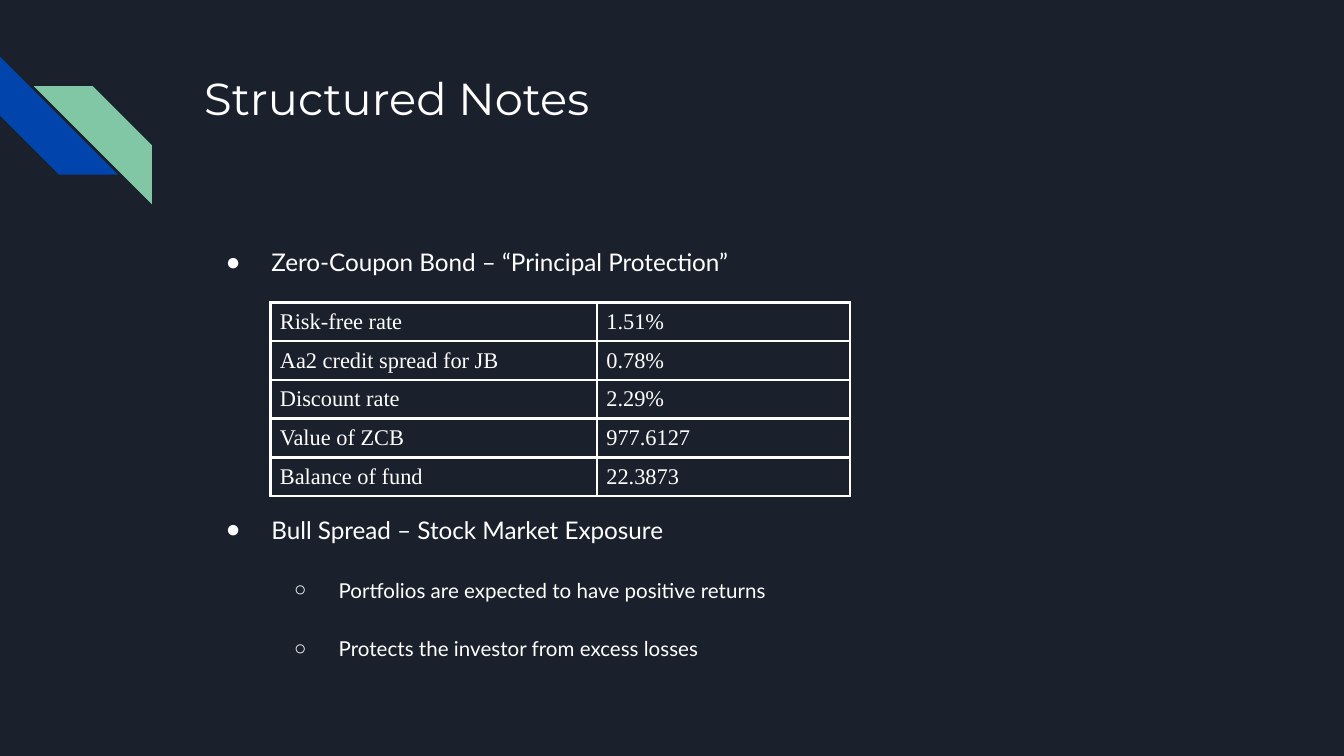
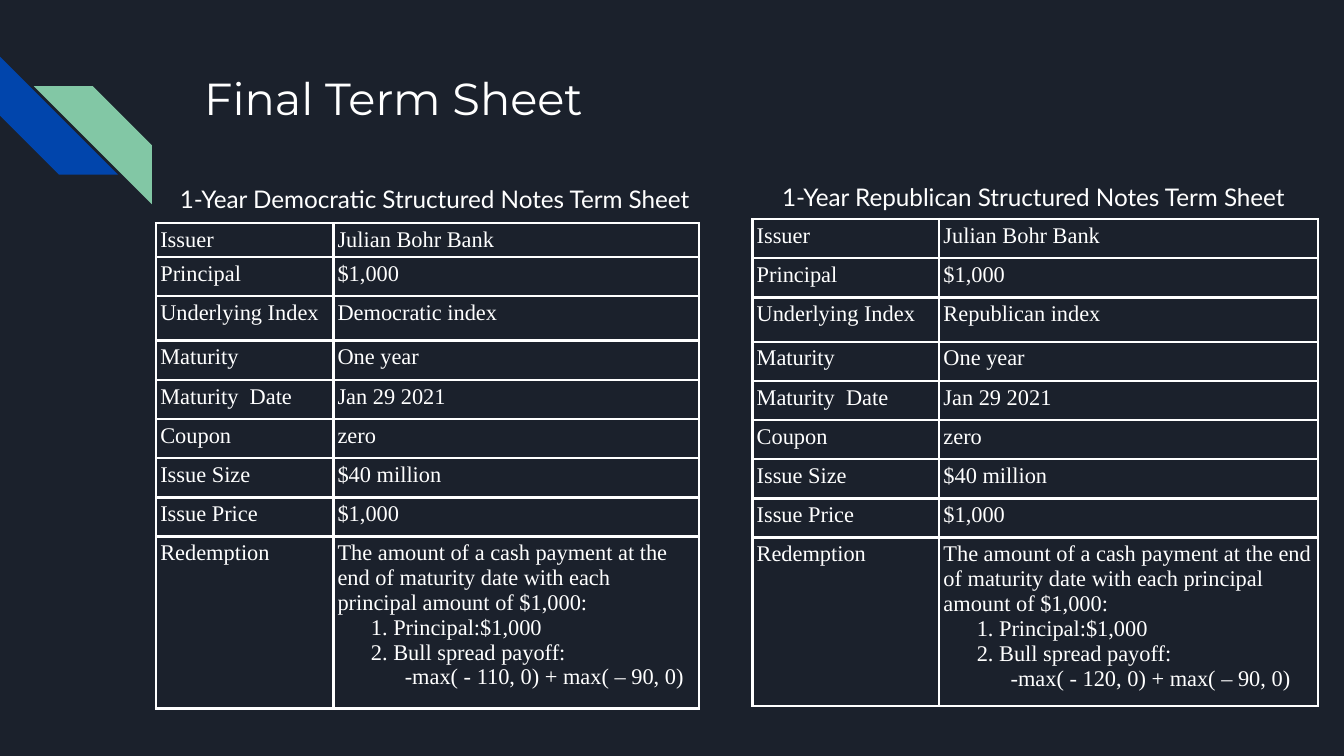
from lxml.etree import SubElement
from pptx import Presentation
from pptx.dml.color import RGBColor
from pptx.enum.shapes import MSO_SHAPE
from pptx.enum.text import MSO_ANCHOR, MSO_AUTO_SIZE, PP_ALIGN
from pptx.oxml.ns import qn
from pptx.util import Cm, Pt

NAVY = RGBColor(0x1B, 0x21, 0x2C)
BLUE = RGBColor(0x01, 0x45, 0xAC)
GREEN = RGBColor(0x82, 0xC7, 0xA5)
WHITE = RGBColor(0xFF, 0xFF, 0xFF)

TITLE_FONT, BODY_FONT, TABLE_FONT = "Montserrat", "Lato", "Times New Roman"

# Boxes in cm: left, top, width, height
STRIPES_BOX = (0, 1.07, 2.87, 2.79)
TITLE_BOX = (3.61, 1.09, 19.56, 2.54)
LIST_BOX = (3.61, 4.34, 19.56, 8.08)

# Paragraph formats
CAPTION = dict(font=BODY_FONT, size=13, spacing=1.15, margin=0.41, bullet="")
POINT = dict(font=BODY_FONT, size=13, spacing=1.15, margin=1.27, indent=-0.86, bullet="●")
SUBPOINT = dict(font=BODY_FONT, size=11, spacing=1.15, margin=2.54, indent=-0.84,
                bullet="○", level=1, before=16)
NUMBERED = dict(margin=1.27, indent=-0.64)
FORMULA = dict(margin=1.27)


# Text
def write(paragraph, text, font=TABLE_FONT, size=12, spacing=None, before=0,
          margin=0, indent=0, bullet=None, level=0):
    run = paragraph.add_run()
    run.text = text
    run.font.name, run.font.size = font, Pt(size)
    run.font.color.rgb = WHITE
    paragraph.alignment = PP_ALIGN.LEFT
    paragraph.level = level
    paragraph.space_before = Pt(before)
    if spacing:
        paragraph.line_spacing = spacing
    properties = paragraph._p.get_or_add_pPr()
    properties.set("marL", str(Cm(margin)))
    properties.set("indent", str(Cm(indent)))
    if bullet:
        colour = SubElement(properties, qn("a:buClr"))
        SubElement(colour, qn("a:srgbClr"), val=str(WHITE))
        SubElement(properties, qn("a:buChar"), char=bullet)
    elif bullet == "":
        SubElement(properties, qn("a:buNone"))


def write_lines(frame, lines):
    for number, (text, style) in enumerate(lines):
        paragraph = frame.add_paragraph() if number else frame.paragraphs[0]
        write(paragraph, text, **style)


def fill_text_box(holder, box, lines):
    holder.left, holder.top, holder.width, holder.height = map(Cm, box)
    frame = holder.text_frame
    frame.word_wrap = True
    frame.auto_size = MSO_AUTO_SIZE.NONE
    frame.vertical_anchor = MSO_ANCHOR.TOP
    frame.margin_left = frame.margin_right = Cm(0.25)
    frame.margin_top = frame.margin_bottom = Cm(0.25)
    write_lines(frame, lines)


# Corner decoration: two diagonal stripes at opposite corners of the box
def add_stripes(slide, box):
    left, top, width, height = box
    side = 2.23
    corners = ((left, top, BLUE), (left + width - side, top + height - side, GREEN))
    for x, y, colour in corners:
        stripe = slide.shapes.add_shape(
            MSO_SHAPE.DIAGONAL_STRIPE, Cm(x), Cm(y), Cm(side), Cm(side))
        stripe.shadow.inherit = False
        stripe.fill.solid()
        stripe.fill.fore_color.rgb = colour
        stripe.line.fill.background()
        if colour == BLUE:
            stripe.rotation = 270
        else:
            stripe.element.spPr.xfrm.set("flipH", "1")


# Tables
def border_cell(cell):
    properties = cell._tc.get_or_add_tcPr()
    for position, side in enumerate(("lnL", "lnR", "lnT", "lnB")):
        line = SubElement(properties, qn(f"a:{side}"), w=str(Pt(1.5)))
        fill = SubElement(line, qn("a:solidFill"))
        SubElement(fill, qn("a:srgbClr"), val=str(WHITE))
        properties.insert(position, line)


def add_grid(slide, corner, widths, heights, rows, inset):
    left, top = corner
    table = slide.shapes.add_table(
        len(rows), len(widths), Cm(left), Cm(top),
        Cm(sum(widths)), Cm(sum(heights))).table
    table.first_row = table.horz_banding = False
    for column, width in zip(table.columns, widths):
        column.width = Cm(width)
    for row, height, contents in zip(table.rows, heights, rows):
        row.height = Cm(height)
        for cell, content in zip(row.cells, contents):
            cell.margin_left = cell.margin_right = Cm(inset[0])
            cell.margin_top = cell.margin_bottom = Cm(inset[1])
            cell.fill.background()
            border_cell(cell)
            write_lines(cell.text_frame,
                        [(content, {})] if isinstance(content, str) else content)


def add_term_sheet(slide, corner, widths, first_height, last_height, party, cap):
    redemption = [
        ("The amount of a cash payment at the end of maturity date with each "
         "principal amount of $1,000:", {}),
        ("1. Principal:$1,000", NUMBERED),
        ("2. Bull spread payoff:", NUMBERED),
        (f"-max( - {cap}, 0) + max( – 90, 0)", FORMULA),
    ]
    terms = [
        ("Issuer", "Julian Bohr Bank"),
        ("Principal", "$1,000"),
        ("Underlying Index", f"{party} index"),
        ("Maturity", "One year"),
        ("Maturity  Date", "Jan 29 2021"),
        ("Coupon", "zero"),
        ("Issue Size", "$40 million"),
        ("Issue Price", "$1,000"),
        ("Redemption", redemption),
    ]
    heights = [first_height, 0.74, 0.84] + [0.74] * 5 + [last_height]
    add_grid(slide, corner, widths, heights, terms, inset=(0.08, 0.08))


# Slides
def add_base_slide(deck, title):
    slide = deck.slides.add_slide(deck.slide_layouts[1])
    slide.background.fill.solid()
    slide.background.fill.fore_color.rgb = NAVY
    add_stripes(slide, STRIPES_BOX)
    fill_text_box(slide.shapes.title, TITLE_BOX,
                  [(title, dict(font=TITLE_FONT, size=24))])
    return slide


def add_notes_slide(deck):
    slide = add_base_slide(deck, "Structured Notes")
    fill_text_box(slide.placeholders[1], LIST_BOX, [
        ("Zero-Coupon Bond – “Principal Protection”", POINT),
        ("Bull Spread – Stock Market Exposure", dict(POINT, before=125.5)),
        ("Portfolios are expected to have positive returns", SUBPOINT),
        ("Protects the investor from excess losses", SUBPOINT),
    ])
    bond_rows = [
        ("Risk-free rate", "1.51%"),
        ("Aa2 credit spread for JB", "0.78%"),
        ("Discount rate", "2.29%"),
        ("Value of ZCB", "977.6127"),
        ("Balance of fund", "22.3873"),
    ]
    add_grid(slide, (5.11, 5.72), (6.17, 4.78), [0.72] * len(bond_rows),
             bond_rows, inset=(0.18, 0.13))


def add_term_sheet_slide(deck):
    slide = add_base_slide(deck, "Final Term Sheet")
    add_term_sheet(slide, (2.95, 4.22), (3.35, 6.91), 0.64, 3.25, "Democratic", 110)
    add_term_sheet(slide, (14.22, 4.14), (3.53, 7.16), 0.74, 3.18, "Republican", 120)
    republican_box = (14.12, 3.12, 10.85, 1.27)
    captions = (
        (slide.placeholders[1], (2.74, 3.15, 10.69, 1.27), "Democratic"),
        (slide.shapes.add_textbox(*map(Cm, republican_box)), republican_box, "Republican"),
    )
    for holder, box, party in captions:
        fill_text_box(holder, box,
                      [(f"1-Year {party} Structured Notes Term Sheet", CAPTION)])


def main():
    deck = Presentation()
    deck.slide_width, deck.slide_height = Cm(25.4), Cm(14.29)
    add_notes_slide(deck)
    add_term_sheet_slide(deck)
    deck.save("out.pptx")


if __name__ == "__main__":
    main()
